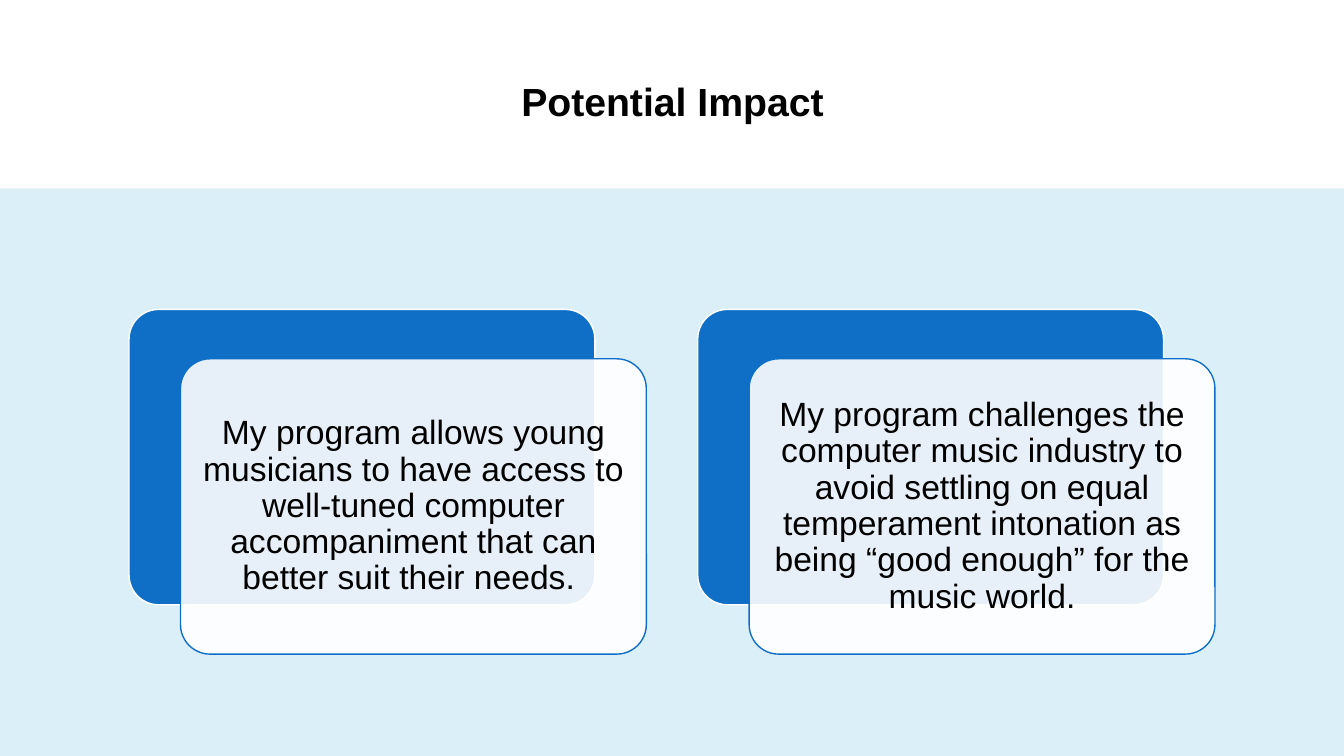
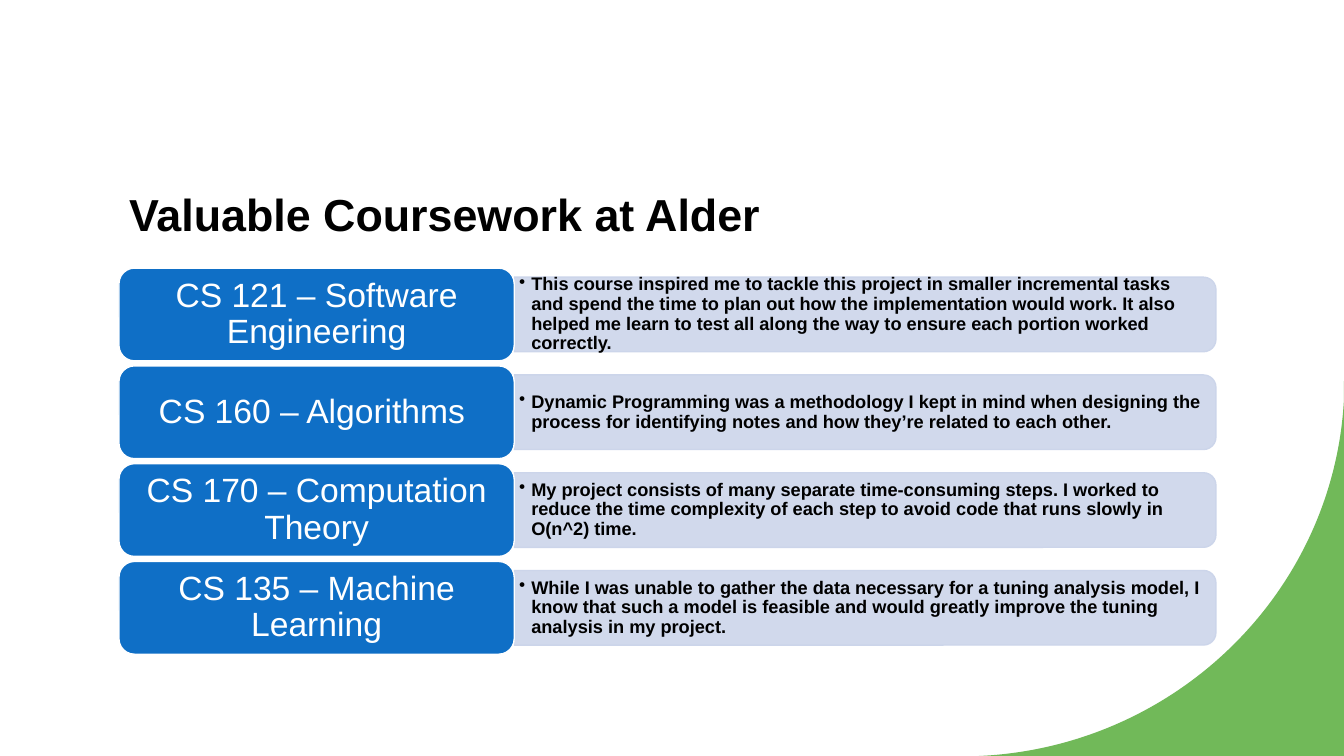
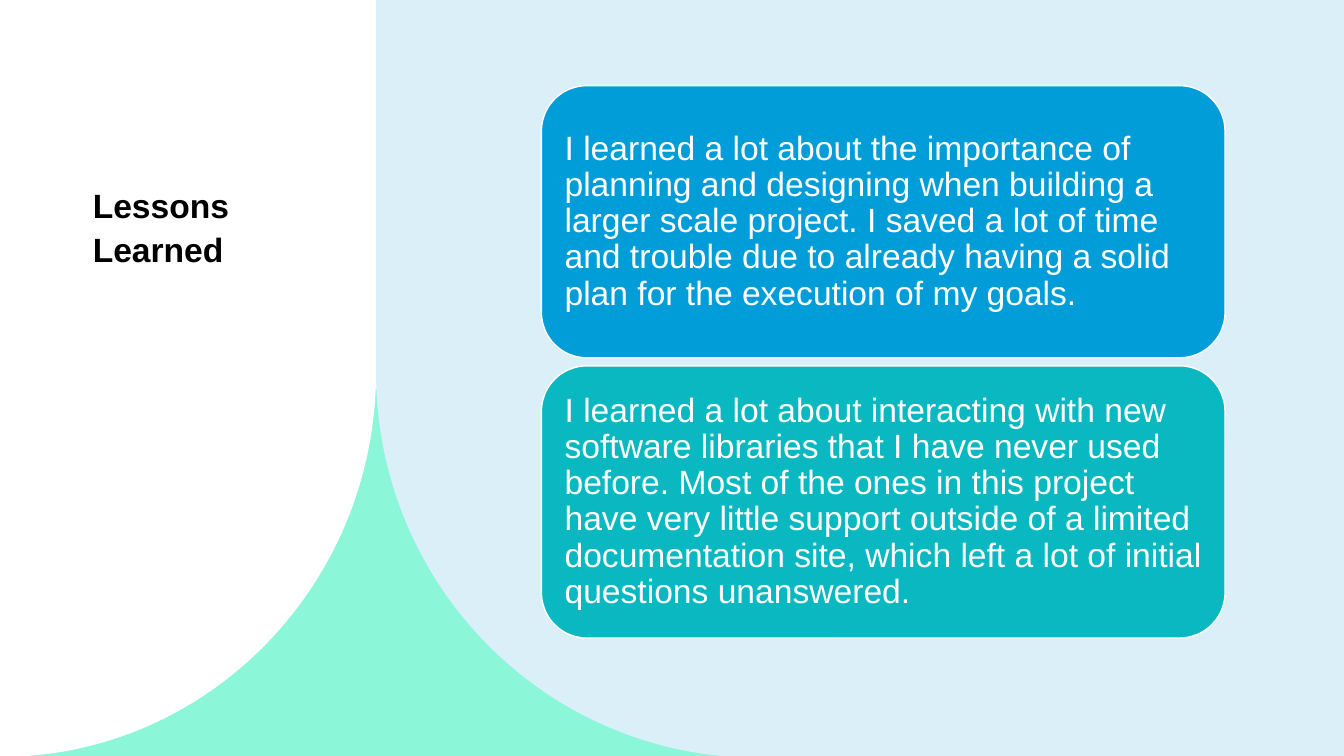
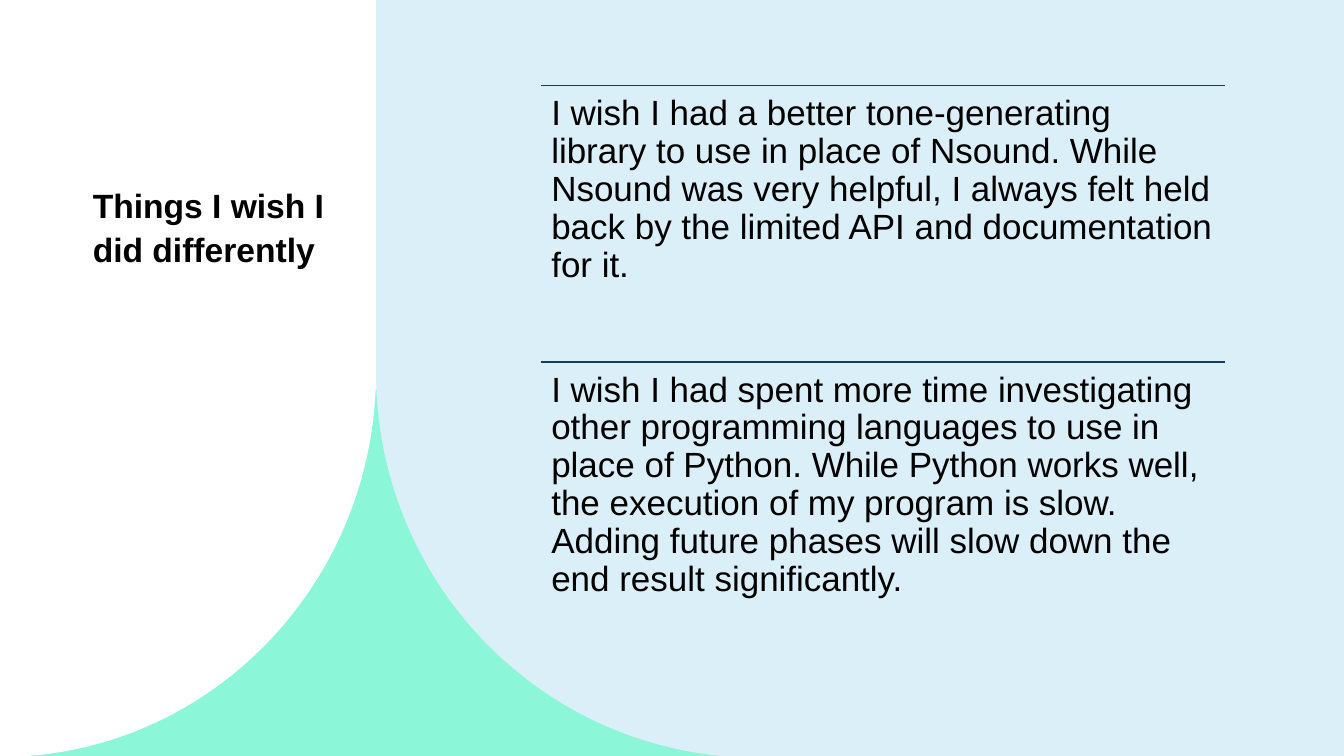
import dataclasses

import pptx
import pptx.util
import pptx.dml.color
import pptx.enum.shapes
import pptx.enum.text
import pptx.oxml.ns
import pptx.oxml.xmlchemy

Inches = pptx.util.Inches
Pt = pptx.util.Pt
MSO_SHAPE = pptx.enum.shapes.MSO_SHAPE
ANCHOR = pptx.enum.text.MSO_ANCHOR
ALIGN = pptx.enum.text.PP_ALIGN
WIDTH, HEIGHT = 13.33, 7.5


@dataclasses.dataclass(frozen=True)
class Theme:
    """Colours and type sizes shared by all slides."""
    font: str = "Arial"
    ink: str = "000000"
    white: str = "FFFFFF"
    pale: str = "DBEFF9"
    blue: str = "0F6FC6"
    sky: str = "009DD9"
    teal: str = "09B8C0"
    mint: str = "8CF6D9"
    green: str = "71B959"
    bar: str = "CCD5EA"
    rule: str = "153A63"
    wide_title: int = 32
    band_title: int = 28
    side_title: int = 24
    body: int = 24
    note: int = 25
    detail: int = 13


THEME = Theme()


def rgb(value):
    """Return a colour object for a hex string."""
    return pptx.dml.color.RGBColor.from_string(value)


def add_child(parent, tag, **attrs):
    """Append an XML child with the given attributes."""
    child = pptx.oxml.xmlchemy.OxmlElement(tag)
    for name, value in attrs.items():
        child.set(name, str(value))
    parent.append(child)
    return child


def paint(sp, fill, line=None, opacity=100):
    """Give a shape a flat fill and an optional thin outline."""
    sp.shadow.inherit = False
    sp.fill.solid()
    sp.fill.fore_color.rgb = rgb(fill)
    if opacity < 100:
        color = sp.fill._xPr.find(".//" + pptx.oxml.ns.qn("a:srgbClr"))
        add_child(color, "a:alpha", val=opacity * 1000)
    if line:
        sp.line.color.rgb = rgb(line)
        sp.line.width = Pt(1)
    else:
        sp.line.fill.background()
    return sp


def add_box(s, kind, box, fill, line=None, opacity=100):
    """Add a preset shape in a box given in inches."""
    sp = s.shapes.add_shape(kind, *map(Inches, box))
    return paint(sp, fill, line, opacity)


def write(sp, text, size, color=THEME.ink, bold=False, align=ALIGN.LEFT,
          anchor=ANCHOR.MIDDLE, margins=(0.1, 0.1), spacing=0.9):
    """Set one paragraph of text and format it."""
    tf = sp.text_frame
    tf.text = text
    tf.word_wrap = True
    tf.auto_size = pptx.enum.text.MSO_AUTO_SIZE.NONE
    tf.vertical_anchor = anchor
    tf.margin_left = tf.margin_right = Inches(margins[0])
    tf.margin_top = tf.margin_bottom = Inches(margins[1])
    p = tf.paragraphs[0]
    p.alignment = align
    p.line_spacing = spacing
    font = p.runs[0].font
    font.name, font.size, font.bold = THEME.font, Pt(size), bold
    font.color.rgb = rgb(color)
    return p


def add_text(s, box, text, size, **style):
    """Add a text box in a box given in inches."""
    return write(s.shapes.add_textbox(*map(Inches, box)), text, size, **style)


def set_title(s, box, text, size, align=ALIGN.LEFT, anchor=ANCHOR.TOP):
    """Place the title above what is already drawn."""
    sp = s.shapes.title
    sp.left, sp.top, sp.width, sp.height = map(Inches, box)
    write(sp, text, size, bold=True, align=align, anchor=anchor,
          margins=(0.1, 0.05), spacing=1.1)
    s.shapes._spTree.append(sp._element)


def add_outline(s, corners, curve, fill):
    """Add a closed outline of straight sides ending in one Bézier curve."""
    points = [(Inches(x), Inches(y)) for x, y in corners + curve]
    fb = s.shapes.build_freeform(*points[0], scale=1.0)
    fb.add_line_segments(points[1:], close=True)
    sp = paint(fb.convert_to_shape(), fill)
    qn = pptx.oxml.ns.qn
    sides = list(sp._element.iter(qn("a:lnTo")))[len(corners) - 1:][:3]
    bend = pptx.oxml.xmlchemy.OxmlElement("a:cubicBezTo")
    sides[0].addprevious(bend)
    for side in sides:
        bend.append(side.find(qn("a:pt")))
        side.getparent().remove(side)
    return sp


def add_layout_corner(s):
    """Put the green corner on the layout of a slide."""
    sp = add_outline(s, [(WIDTH, 3.78), (WIDTH, HEIGHT), (9.63, HEIGHT),
                         (9.71, HEIGHT)],
                     [(11.67, 7.41), (13.23, 5.87), (WIDTH, 3.96)],
                     THEME.green)
    s.slide_layout.shapes._spTree.append(sp._element)


def impact_card(s, box, text):
    """Draw a translucent text card over an offset blue card."""
    x, y, w, h = box
    dx, dy = 0.51, 0.49
    back = add_box(s, MSO_SHAPE.ROUNDED_RECTANGLE, (x, y, w - dx, h - dy),
                   THEME.blue, THEME.white)
    front = add_box(s, MSO_SHAPE.ROUNDED_RECTANGLE,
                    (x + dx, y + dy, w - dx, h - dy),
                    THEME.white, THEME.blue, 90)
    back.adjustments[0] = front.adjustments[0] = 0.1
    write(front, text, THEME.body, align=ALIGN.CENTER)


def course_row(s, box, name, lesson):
    """Draw a course label with its lesson in a bar on the right."""
    x, y, w, h = box
    label_w, bar_h, text_h = 3.92, 0.74, 0.67
    bar_x, bar_w, mid = x + label_w, w - label_w, y + h / 2
    bar = add_box(s, MSO_SHAPE.ROUND_2_SAME_RECTANGLE,
                  (bar_x + (bar_w - bar_h) / 2, mid - bar_w / 2, bar_h, bar_w),
                  THEME.bar, THEME.bar, opacity=90)
    bar.rotation = 90
    p = add_text(s, (bar_x, mid - text_h / 2, bar_w - 0.06, text_h), lesson,
                 THEME.detail, bold=True, margins=(0.05, 0.03))
    pPr = p._p.get_or_add_pPr()
    pPr.set("marL", str(Inches(0.12)))
    pPr.set("indent", str(-Inches(0.12)))
    add_child(pPr, "a:buChar", char="•")
    label = add_box(s, MSO_SHAPE.ROUNDED_RECTANGLE, (x, y, label_w, h),
                    THEME.blue, THEME.white)
    write(label, name, THEME.body, THEME.white, align=ALIGN.CENTER,
          margins=(0.1, 0.05))


def lesson_card(s, box, text, fill):
    """Draw a coloured card of white text."""
    sp = add_box(s, MSO_SHAPE.ROUNDED_RECTANGLE, box, fill, THEME.white)
    write(sp, text, THEME.body, THEME.white)


def ruled_note(s, box, text):
    """Draw text under a thin rule."""
    x, y, w, h = box
    rule = s.shapes.add_connector(pptx.enum.shapes.MSO_CONNECTOR.STRAIGHT,
                                  *map(Inches, (x, y, x + w, y)))
    rule.line.color.rgb = rgb(THEME.rule)
    rule.line.width = Pt(1)
    add_child(rule._element.spPr, "a:effectLst")
    add_text(s, (x, y, w - 0.01, h), text, THEME.note, anchor=ANCHOR.TOP)


def new_slide(prs):
    """Add a title-only slide."""
    return prs.slides.add_slide(prs.slide_layouts[5])


def plain_slide(prs):
    """Add a slide whose white ground covers the layout corner."""
    s = new_slide(prs)
    add_box(s, MSO_SHAPE.RECTANGLE, (0, 0, WIDTH, HEIGHT), THEME.white)
    return s


def side_title_slide(prs, title):
    """Add a slide with a curved title panel on the left."""
    s = plain_slide(prs)
    edge, bend, foot = 3.73, 3.69, 7.51
    add_box(s, MSO_SHAPE.RECTANGLE, (0, 3.86, 7.37, HEIGHT - 3.86), THEME.mint)
    add_outline(s, [(0, 0), (edge, 0), (edge, bend)],
                [(edge, 5.8), (2.06, foot), (0, foot)], THEME.white)
    set_title(s, (0.82, 1.74, 2.63, 2.73), title, THEME.side_title)
    add_outline(s, [(edge, 0), (WIDTH, 0), (WIDTH, foot), (7.29, foot)],
                [(5.3, 7.39), (edge, 5.73), (edge, bend)], THEME.pale)
    return s


def impact_slide(prs, title, texts):
    """Build the slide of two layered cards."""
    s = plain_slide(prs)
    band_y = 1.87
    set_title(s, (1.18, 0.49, 10.98, 0.97), title, THEME.band_title,
              ALIGN.CENTER, ANCHOR.MIDDLE)
    add_box(s, MSO_SHAPE.RECTANGLE, (0, band_y, WIDTH, HEIGHT - band_y),
            THEME.pale)
    for i, text in enumerate(texts):
        impact_card(s, (1.28 + 5.64 * i, 3.07, 5.13, 3.42), text)


def coursework_slide(prs, title, courses):
    """Build the slide of course rows."""
    s = new_slide(prs)
    set_title(s, (1.18, 0.79, 10.88, 1.65), title, THEME.wide_title,
              anchor=ANCHOR.BOTTOM)
    for i, (name, lesson) in enumerate(courses):
        course_row(s, (1.18, 2.66 + 0.97 * i, 10.88, 0.92), name, lesson)


def lessons_slide(prs, title, cards):
    """Build the slide of stacked colour cards."""
    s = side_title_slide(prs, title)
    for i, (text, fill) in enumerate(cards):
        lesson_card(s, (5.37, 0.85 + 2.78 * i, 6.78, 2.7), text, fill)


def wishes_slide(prs, title, texts):
    """Build the slide of ruled notes."""
    s = side_title_slide(prs, title)
    for i, text in enumerate(texts):
        ruled_note(s, (5.37, 0.85 + 2.74 * i, 6.78, 2.74), text)


def main():
    """Build and save the presentation."""
    prs = pptx.Presentation()
    prs.slide_width, prs.slide_height = Inches(WIDTH), Inches(HEIGHT)
    impact_slide(prs, "Potential Impact", [
        "My program allows young musicians to have access to well-tuned "
        "computer accompaniment that can better suit their needs. ",
        "My program challenges the computer music industry to avoid settling "
        "on equal temperament intonation as being “good enough” for the "
        "music world.",
    ])
    add_layout_corner(prs.slides[0])
    coursework_slide(prs, "Valuable Coursework at Alder", [
        ("CS 121 – Software Engineering",
         "This course inspired me to tackle this project in smaller "
         "incremental tasks and spend the time to plan out how the "
         "implementation would work. It also helped me learn to test all "
         "along the way to ensure each portion worked correctly."),
        ("CS 160 – Algorithms ",
         "Dynamic Programming was a methodology I kept in mind when designing "
         "the process for identifying notes and how they’re related to each "
         "other."),
        ("CS 170 – Computation Theory",
         "My project consists of many separate time-consuming steps. I worked "
         "to reduce the time complexity of each step to avoid code that runs "
         "slowly in O(n^2) time."),
        ("CS 135 – Machine Learning",
         "While I was unable to gather the data necessary for a tuning "
         "analysis model, I know that such a model is feasible and would "
         "greatly improve the tuning analysis in my project."),
    ])
    lessons_slide(prs, "Lessons Learned", [
        ("I learned a lot about the importance of planning and designing when "
         "building a larger scale project. I saved a lot of time and trouble "
         "due to already having a solid plan for the execution of my goals.",
         THEME.sky),
        ("I learned a lot about interacting with new software libraries that "
         "I have never used before. Most of the ones in this project have "
         "very little support outside of a limited documentation site, which "
         "left a lot of initial questions unanswered.", THEME.teal),
    ])
    wishes_slide(prs, "Things I wish I did differently", [
        "I wish I had a better tone-generating library to use in place of "
        "Nsound. While Nsound was very helpful, I always felt held back by "
        "the limited API and documentation for it.",
        "I wish I had spent more time investigating other programming "
        "languages to use in place of Python. While Python works well, the "
        "execution of my program is slow. Adding future phases will slow down "
        "the end result significantly.",
    ])
    prs.save("out.pptx")


if __name__ == "__main__":
    main()
